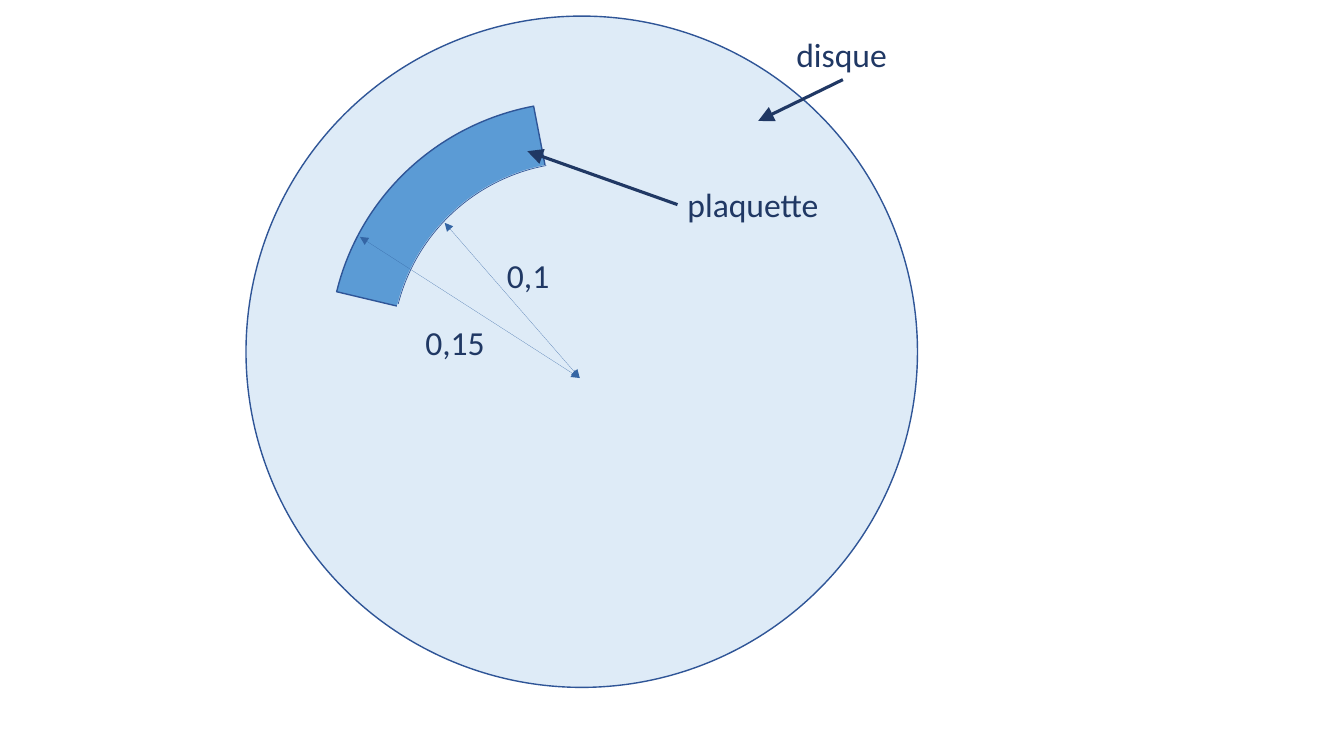
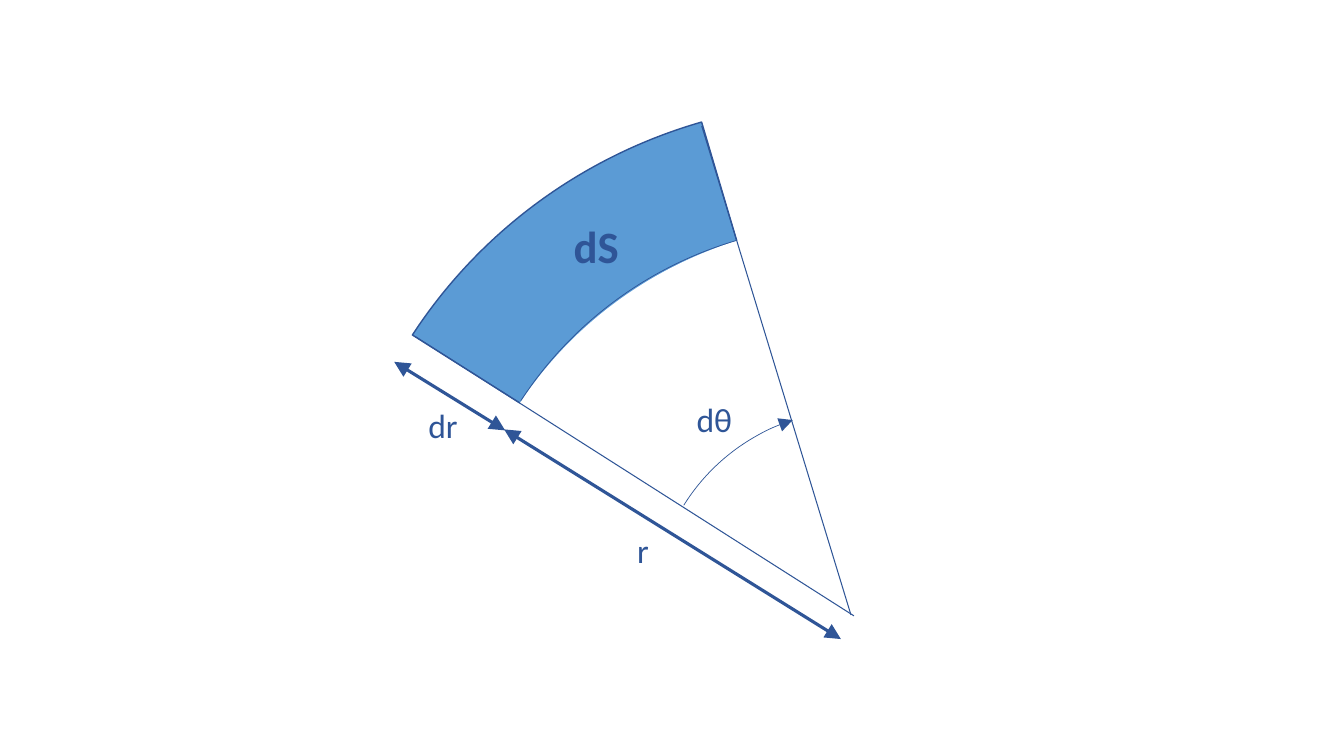
from dataclasses import dataclass

from lxml import etree
from pptx import Presentation
from pptx.dml.color import RGBColor
from pptx.enum.shapes import MSO_CONNECTOR, MSO_SHAPE
from pptx.enum.text import MSO_AUTO_SIZE, PP_ALIGN
from pptx.oxml.ns import qn
from pptx.util import Inches, Pt

STRAIGHT = MSO_CONNECTOR.STRAIGHT
ELLIPSE, PIE, ARC = MSO_SHAPE.OVAL, MSO_SHAPE.PIE, MSO_SHAPE.ARC
FIT_SHAPE = MSO_AUTO_SIZE.SHAPE_TO_FIT_TEXT
LEFT = PP_ALIGN.LEFT
BOTTOM_SIDE, LEFT_SIDE = 2, 1
ADJUSTMENT_PER_DEGREE = 0.6
BOTH_ENDS = ("headEnd", "tailEnd")


@dataclass(frozen=True)
class Theme:
    """Colours, font, type sizes and line widths of the deck."""
    disc: str = "DEEBF7"
    plate: str = "5B9BD5"
    paper: str = "FFFFFF"
    outline: str = "2F5597"
    dark: str = "203864"
    radius: str = "3465A4"
    font: str = "Calibri"
    label_size: int = 24
    surface_size: int = 32
    hairline: float = 0.01
    fine: float = 0.5
    thin: float = 0.75
    edge: float = 1
    bold: float = 2.25


THEME = Theme()


def style_line(line, color, width, ends=(), head_size="lg"):
    """Set colour, width and arrowheads ('headEnd', 'tailEnd') of a line."""
    line.color.rgb = RGBColor.from_string(color)
    line.width = Pt(width)
    properties = line.fill._xPr
    for end in ends:
        etree.SubElement(properties, qn(f"a:{end}"), type="triangle",
                         w=head_size, len=head_size)


@dataclass
class Figure:
    """A drawing whose parts are placed from its top left corner."""
    page: object
    left: float
    top: float

    def point(self, x, y):
        """Turn figure inches into a place on the page."""
        return Inches(self.left + x), Inches(self.top + y)

    def curve(self, kind, box, angles=(), fill=None, color=THEME.outline,
              width=THEME.edge, ends=()):
        """Draw an ellipse, pie or arc, with its angles in degrees."""
        x, y, wide, high = box
        shape = self.page.shapes.add_shape(
            kind, *self.point(x, y), Inches(wide), Inches(high))
        shape.shadow.inherit = False
        for index, angle in enumerate(angles):
            shape.adjustments[index] = angle * ADJUSTMENT_PER_DEGREE
        if fill:
            shape.fill.solid()
            shape.fill.fore_color.rgb = RGBColor.from_string(fill)
        else:
            shape.fill.background()
        style_line(shape.line, color, width, ends)

    def label(self, text, box, color, size=THEME.label_size, bold=False):
        """Write a one-line label that fits its text."""
        x, y, wide, high = box
        holder = self.page.shapes.add_textbox(
            *self.point(x, y), Inches(wide), Inches(high))
        frame = holder.text_frame
        frame.word_wrap = False
        frame.auto_size = FIT_SHAPE
        para = frame.paragraphs[0]
        para.alignment = LEFT
        span = para.add_run()
        span.text = text
        span.font.name = THEME.font
        span.font.size = Pt(size)
        span.font.bold = bold
        span.font.color.rgb = RGBColor.from_string(color)
        return holder

    def segment(self, start, stop, color, width, ends=(), head_size="lg"):
        """Draw a straight line between two points."""
        connector = self.page.shapes.add_connector(
            STRAIGHT, *self.point(*start), *self.point(*stop))
        style_line(connector.line, color, width, ends, head_size)
        etree.SubElement(connector._element.spPr, qn("a:effectLst"))
        return connector


def draw_disc(page, left, top):
    """Draw the disc with its plate, radii and callouts."""
    figure = Figure(page, left, top)
    figure.curve(ELLIPSE, (0, 0, 6.66, 6.66), fill=THEME.disc)
    figure.curve(PIE, (0.83, 0.85, 4.98, 4.92), (193.37, 259.05), THEME.plate)
    inner = (1.45, 1.45, 3.75, 3.75)
    figure.curve(PIE, inner, (190.96, 270), THEME.disc, THEME.disc)
    figure.curve(ARC, inner, (194.49, 259.32), width=THEME.fine)

    figure.label("0,15", (1.68, 2.98, 0.79, 0.5), THEME.dark)
    figure.label("0,1", (2.49, 2.32, 0.62, 0.5), THEME.dark)
    callouts = (
        ("plaquette", (4.28, 1.62, 1.5, 0.5), LEFT_SIDE, (2.79, 1.34)),
        ("disque", (5.36, 0.13, 1.12, 0.5), BOTTOM_SIDE, (5.08, 1.04)),
    )
    for text, box, side, target in callouts:
        holder = figure.label(text, box, THEME.dark)
        arrow = figure.segment(box[:2], target, THEME.dark, THEME.bold,
                               ("tailEnd",))
        arrow.begin_connect(holder, side)

    for rim in ((1.97, 2.05), (1.13, 2.19)):
        figure.segment(rim, (3.31, 3.59), THEME.radius, THEME.hairline,
                       BOTH_ENDS, "med")


def draw_surface_element(page, left, top):
    """Draw the surface element dS with its polar dimensions."""
    figure = Figure(page, left, top)
    figure.curve(PIE, (0, 0, 10.22, 10.07), (212.33, 253.51), THEME.plate)
    figure.curve(PIE, (1.26, 1.19, 8.07, 7.73), (179.94, 251.89),
                 THEME.paper, THEME.paper)
    figure.curve(ARC, (1.26, 1.22, 7.7, 7.7), (213.11, 253.67),
                 width=THEME.fine)

    for start, stop in (((3.68, 0.24), (5.16, 5.09)),
                        ((0.84, 2.33), (5.19, 5.1))):
        figure.segment(start, stop, THEME.outline, THEME.thin)
    for start, stop in (((1.73, 3.26), (0.63, 2.58)),
                        ((5.06, 5.33), (1.72, 3.25))):
        figure.segment(start, stop, THEME.outline, THEME.bold, BOTH_ENDS)
    figure.curve(ARC, (3.2, 3.06, 4, 4), (211.92, 252.03),
                 width=THEME.fine, ends=("tailEnd",))

    for text, box in (("r", (2.94, 4.2, 0.31, 0.5)),
                      ("dr", (0.87, 2.96, 0.49, 0.5)),
                      ("dθ", (3.53, 2.9, 0.55, 0.5))):
        figure.label(text, box, THEME.outline)
    figure.label("dS", (2.31, 1.11, 0.65, 0.63), THEME.outline,
                 THEME.surface_size, True)


def main():
    """Build and save the deck."""
    deck = Presentation()
    deck.slide_width, deck.slide_height = Inches(13.33), Inches(7.5)
    blank = deck.slide_layouts[6]
    draw_disc(deck.slides.add_slide(blank), 2.44, 0.16)
    draw_surface_element(deck.slides.add_slide(blank), 3.28, 1.01)
    deck.save("out.pptx")


if __name__ == "__main__":
    main()
